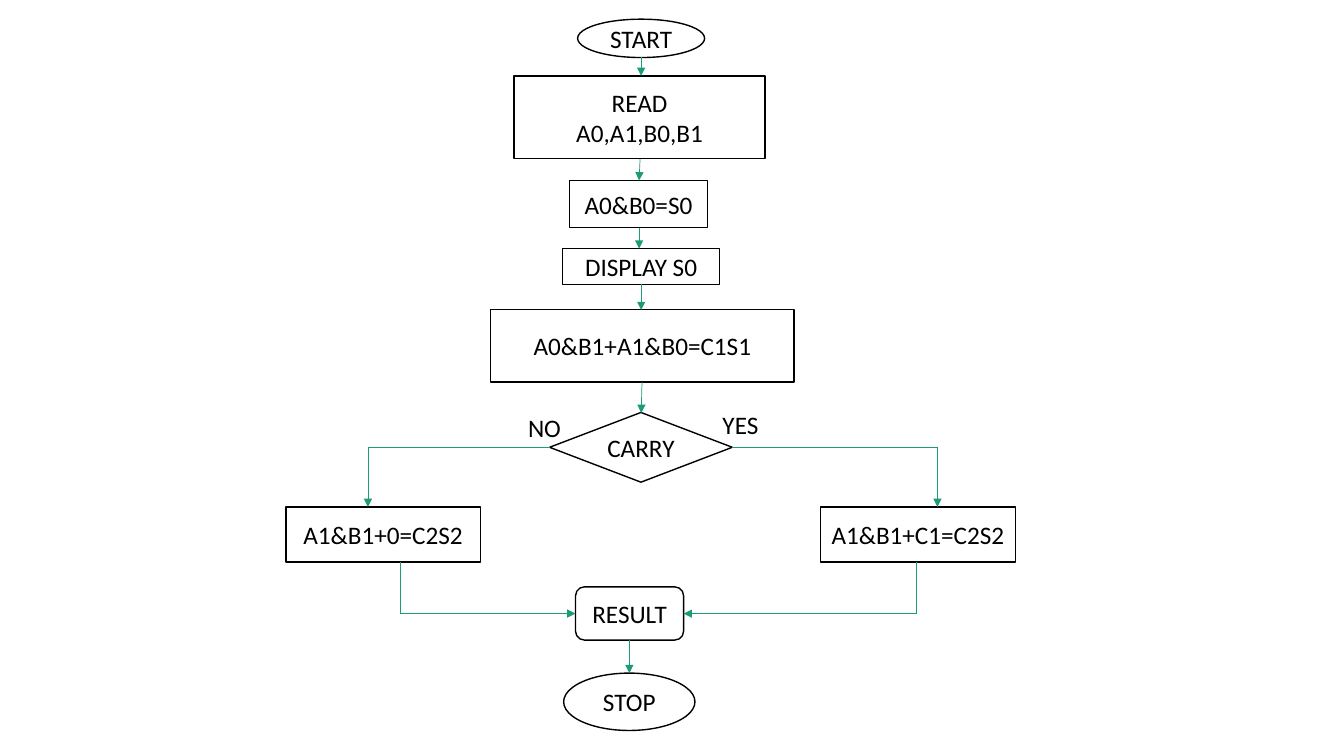
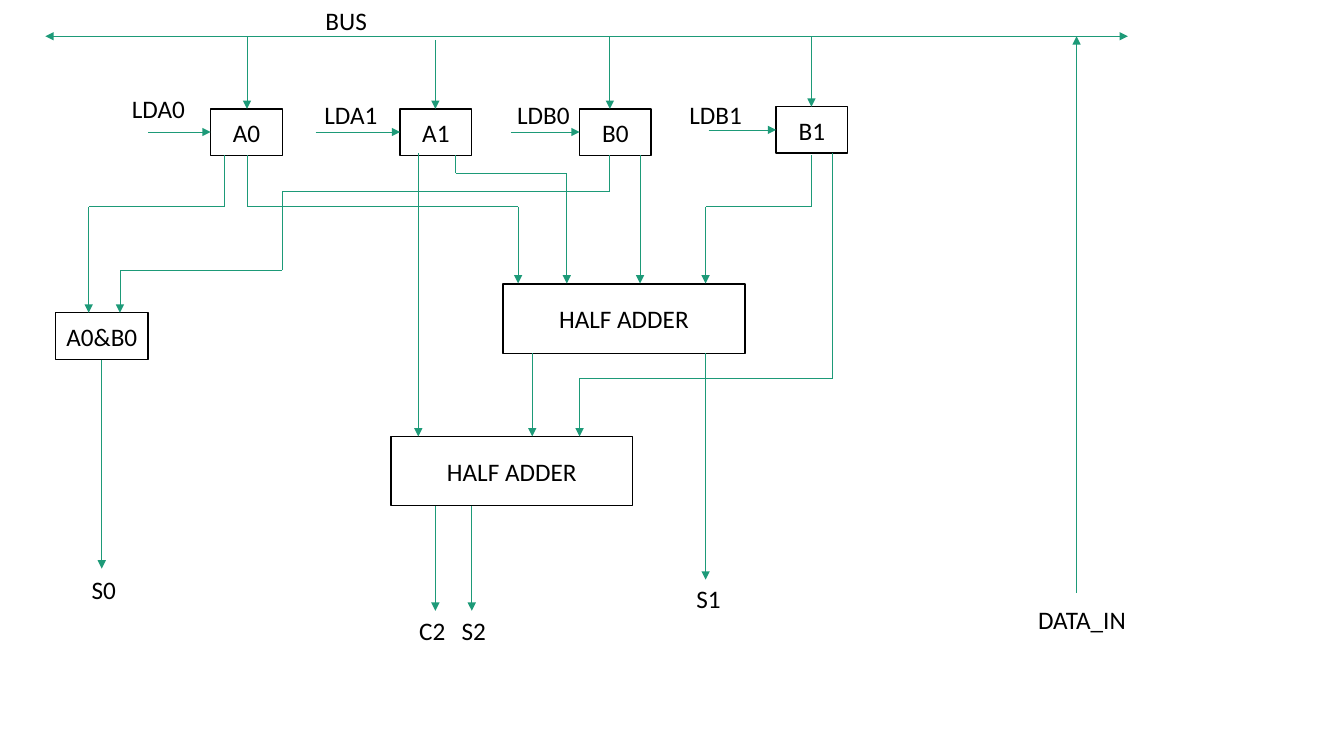
"""Flowchart and data path of a two-bit multiplier."""
from lxml import etree
from pptx import Presentation
from pptx.dml.color import RGBColor
from pptx.enum import shapes, text
from pptx.oxml import ns
from pptx.util import Pt

INK = RGBColor(0x00, 0x00, 0x00)
PAPER = RGBColor(0xFF, 0xFF, 0xFF)
GREEN = RGBColor(0x1D, 0x9A, 0x78)
RECT = shapes.MSO_SHAPE.RECTANGLE
OVAL = shapes.MSO_SHAPE.OVAL
ROUND = shapes.MSO_SHAPE.ROUNDED_RECTANGLE
DIAMOND = shapes.MSO_SHAPE.DIAMOND


def node(slide, kind, words, x, y, wide, high=28.8):
    area = Pt(x), Pt(y), Pt(wide), Pt(high)
    if kind is None:
        item = slide.shapes.add_textbox(*area)
        item.text_frame.word_wrap = wide > 54
        item.text_frame.auto_size = text.MSO_AUTO_SIZE.SHAPE_TO_FIT_TEXT
    else:
        item = slide.shapes.add_shape(kind, *area)
        item.shadow.inherit = False
        item.fill.solid()
        item.fill.fore_color.rgb = PAPER
        item.line.color.rgb = INK
        item.line.width = Pt(1)
        item.text_frame.vertical_anchor = text.MSO_ANCHOR.MIDDLE
    item.text_frame.text = words
    for para in item.text_frame.paragraphs:
        if kind is not None:
            para.alignment = text.PP_ALIGN.CENTER
        para.font.name = "Calibri"
        para.font.size = Pt(18)
        para.font.color.rgb = INK


def route(slide, *stops):
    for start, end in zip(stops, stops[1:]):
        line = slide.shapes.add_connector(
            shapes.MSO_CONNECTOR.STRAIGHT, *map(Pt, start + end))
        line.line.color.rgb = GREEN
        line.line.width = Pt(0.5)
        props = line._element.spPr
        etree.SubElement(props, ns.qn("a:effectLst"))
    etree.SubElement(props.find(ns.qn("a:ln")), ns.qn("a:tailEnd"), type="triangle")


deck = Presentation()
deck.slide_width, deck.slide_height = Pt(960), Pt(540)
blank = deck.slide_layouts[6]

flow = deck.slides.add_slide(blank)
for step in (
    (OVAL, "START", 412.6, 13.7, 90.7, 27.4),
    (RECT, "READ\nA0,A1,B0,B1", 367.2, 54.2, 179.3, 59.2),
    (RECT, "A0&B0=S0", 406.8, 128.9, 98.6, 33.8),
    (RECT, "DISPLAY S0", 401.8, 177.6, 112.3, 25.7),
    (RECT, "A0&B1+A1&B0=C1S1", 350.5, 221, 216.7, 51.8),
    (DIAMOND, "CARRY", 392.6, 294.6, 130.5, 49.8),
    (RECT, "A1&B1+0=C2S2", 204.2, 362.2, 139, 39.4),
    (RECT, "A1&B1+C1=C2S2", 586.2, 362.2, 139, 39.4),
    (ROUND, "RESULT", 411.1, 419.2, 77.2, 38),
    (OVAL, "STOP", 402.6, 480.8, 93.8, 41),
    (None, "NO", 370.1, 290.9, 60.5),
    (None, "YES", 509, 288.7, 68.4),
):
    node(flow, *step)
for stops in (
    ((458, 41), (458, 54.2)),
    ((457.2, 113.6), (456.5, 128.9)),
    ((456.5, 162.7), (456.5, 177.6)),
    ((458, 203.2), (458, 221.5)),
    ((458.6, 272.9), (458, 295)),
    ((392.6, 319.5), (262.8, 319.5), (262.8, 362.2)),
    ((523.2, 319.5), (669.6, 319.5), (669.6, 362.2)),
    ((285.8, 401.6), (285.8, 438.3), (411.1, 438.3)),
    ((654.8, 401.6), (654.8, 438.3), (488.3, 438.3)),
    ((449.6, 457.2), (449.6, 480.8)),
):
    route(flow, *stops)

path = deck.slides.add_slide(blank)
for name, x, y, feed, top, entry in (
    ("A0", 150.5, 77.8, 176.4, 25.9, 105.8),
    ("A1", 285.8, 77.8, 311, 28.8, 225.4),
    ("B0", 414, 77.8, 435.6, 25.9, 365),
    ("B1", 554.4, 76.3, 579.6, 25.9, 506.2),
):
    node(path, RECT, name, x, y, 51.1, 33.1)
    route(path, (feed, top), (feed, y))
    route(path, (entry, y + 16.5), (x, y + 16.5))
for block in (
    (RECT, "A0&B0", 39.6, 223.4, 66.2, 33.6),
    (RECT, "HALF ADDER", 359.3, 203, 172.8, 49.5),
    (RECT, "HALF ADDER", 279.2, 311.8, 172.8, 49.5),
    (None, "LDA0", 87.1, 63.4, 77.8),
    (None, "LDA1", 224.6, 67.7, 52.6),
    (None, "LDB0", 362.2, 67.7, 78.5),
    (None, "LDB1", 485.3, 67.7, 56.9),
    (None, "BUS", 225.4, 0, 73.4),
    (None, "S0", 58.3, 406.8, 32.4),
    (None, "C2", 292.3, 436.3, 33.1),
    (None, "S2", 322.6, 436.3, 32.4),
    (None, "S1", 490.3, 413.3, 32.4),
    (None, "DATA_IN", 734.4, 428.4, 100.1),
):
    node(path, *block)
for stops in (
    ((451, 25.9), (805.7, 25.9)),
    ((451, 25.9), (32.4, 25.9)),
    ((769, 423.4), (769, 25.9)),
    ((160.6, 110.9), (160.6, 147.6), (63.4, 147.6), (63.4, 223.4)),
    ((435.6, 110.9), (435.6, 136.8), (201.6, 136.8), (201.6, 193),
     (85.7, 193), (85.7, 223.4)),
    ((176.4, 110.9), (176.4, 147.6), (370.1, 147.6), (370.1, 202.5)),
    ((325.4, 110.9), (325.4, 123.8), (404.9, 123.8), (404.9, 202.5)),
    ((457.2, 110.9), (457.2, 202.5)),
    ((579.6, 110.9), (579.6, 147.6), (504, 147.6), (504, 202.5)),
    ((594.7, 109.4), (594.7, 270), (414, 270), (414, 311.8)),
    ((298.8, 109.4), (298.8, 311.8)),
    ((380.2, 252.3), (380.2, 311.8)),
    ((504, 252.3), (504, 414)),
    ((72.7, 257), (72.7, 406.1)),
    ((311, 361.4), (311, 436.3)),
    ((337, 361.4), (337, 436.3)),
):
    route(path, *stops)

deck.save("out.pptx")
